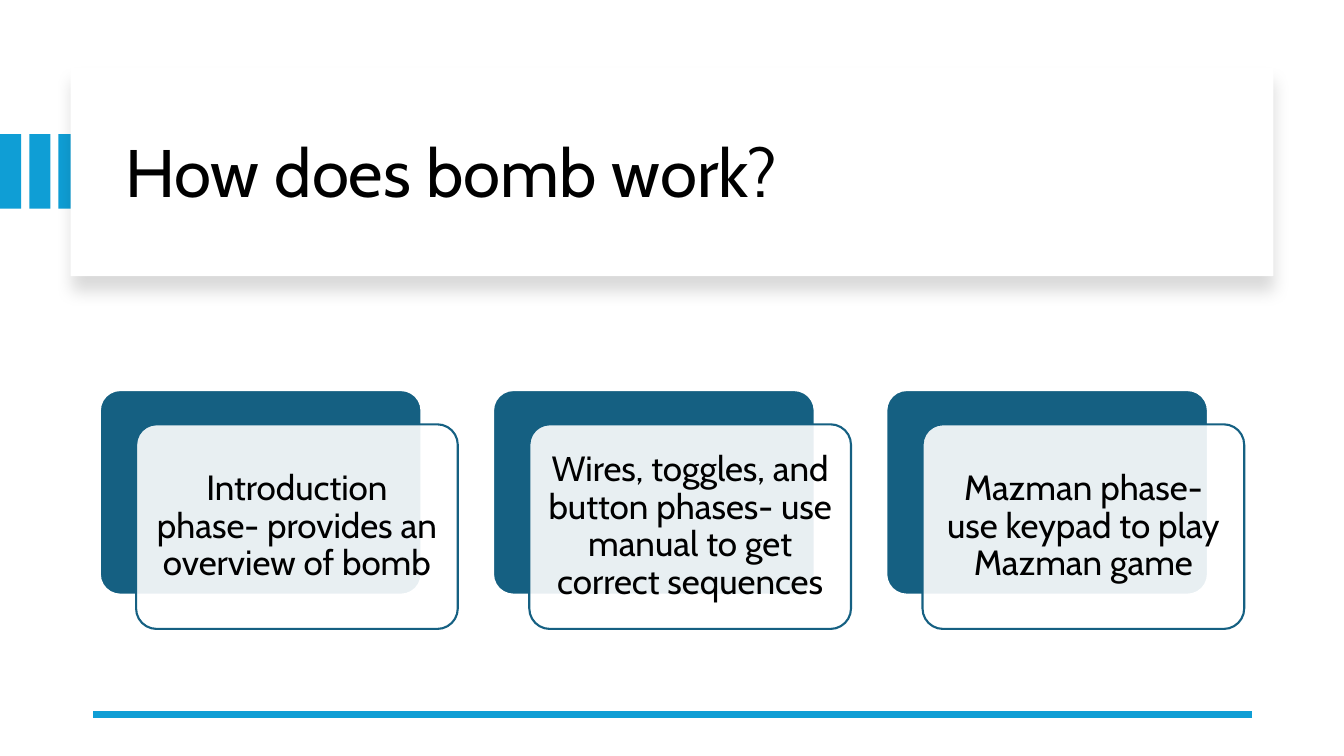
from lxml.etree import SubElement
from pptx import Presentation
from pptx.dml.color import RGBColor
from pptx.enum.shapes import MSO_CONNECTOR, MSO_SHAPE
from pptx.enum.text import MSO_ANCHOR, MSO_AUTO_SIZE, PP_ALIGN
from pptx.oxml.ns import qn
from pptx.util import Inches, Pt

FONT = "Cabin"
BLACK, WHITE, SKY, TEAL = "000000", "FFFFFF", "0F9ED5", "156082"


def paint(color, tone):
    color.rgb = RGBColor.from_string(tone)


def place(shape, left, top, width, height):
    shape.left, shape.top = Inches(left), Inches(top)
    shape.width, shape.height = Inches(width), Inches(height)


class Deck:
    def __init__(self):
        self.show = Presentation()
        self.show.slide_width = Inches(13.33)
        self.show.slide_height = Inches(7.5)
        self.slide = self.show.slides.add_slide(self.show.slide_layouts[5])
        self.shapes = self.slide.shapes
        back = self.slide.background.fill
        back.solid()
        paint(back.fore_color, WHITE)

    def box(self, kind, left, top, width, height, fill, line=None):
        shape = self.shapes.add_shape(kind, *map(Inches, (left, top, width, height)))
        shape.shadow.inherit = False
        shape.fill.solid()
        paint(shape.fill.fore_color, fill)
        if line:
            paint(shape.line.color, line)
            shape.line.width = Pt(1.5)
        else:
            shape.line.fill.background()
        if kind == MSO_SHAPE.ROUNDED_RECTANGLE:
            shape.adjustments[0] = 0.1
        return shape

    def fade(self, shape, alpha):
        tone = shape.element.spPr.find(f"{qn('a:solidFill')}/{qn('a:srgbClr')}")
        SubElement(tone, qn("a:alpha"), val=str(alpha * 1000))

    def shade(self, shape, alpha, blur, drop):
        effects = shape.element.spPr.find(qn("a:effectLst"))
        shadow = SubElement(effects, qn("a:outerShdw"), blurRad=str(Pt(blur)),
                            dist=str(Pt(drop)), dir="5400000", algn="t", rotWithShape="0")
        tone = SubElement(shadow, qn("a:srgbClr"), val=BLACK)
        SubElement(tone, qn("a:alpha"), val=str(alpha * 1000))

    def text(self, shape, words, size, align):
        frame = shape.text_frame
        frame.word_wrap = True
        frame.auto_size = MSO_AUTO_SIZE.NONE
        frame.vertical_anchor = MSO_ANCHOR.MIDDLE
        par = frame.paragraphs[0]
        par.alignment = align
        par.line_spacing = 0.9
        run = par.add_run()
        run.text = words
        run.font.name = FONT
        run.font.size = Pt(size)
        paint(run.font.color, BLACK)

    def title(self, words, left, top, width, height):
        head = self.shapes.title
        place(head, left, top, width, height)
        self.text(head, words, 48, PP_ALIGN.LEFT)
        # Bring the title in front of its panel
        self.shapes.element.append(head.element)

    def label(self, words, left, top, width, height):
        note = self.shapes.add_textbox(*map(Inches, (left, top, width, height)))
        frame = note.text_frame
        frame.margin_left = frame.margin_right = Inches(0.1)
        frame.margin_top = frame.margin_bottom = Inches(0.1)
        self.text(note, words, 25, PP_ALIGN.CENTER)

    def rule(self, start, end, top):
        line = self.shapes.add_connector(
            MSO_CONNECTOR.STRAIGHT, Inches(start), Inches(top), Inches(end), Inches(top))
        paint(line.line.color, SKY)
        line.line.width = Pt(4.5)
        SubElement(line.element.spPr, qn("a:effectLst"))


def main():
    deck = Deck()

    # Accent bars at the left edge
    for i in range(3):
        deck.box(MSO_SHAPE.RECTANGLE, i * 0.29, 1.33, 0.21, 0.74, SKY)

    # Title panel
    panel = deck.box(MSO_SHAPE.RECTANGLE, 0.7, 0.67, 11.93, 2.07, WHITE)
    deck.shade(panel, alpha=15, blur=11, drop=10)
    deck.title("How does bomb work?", 1.14, 0.89, 11.13, 1.7)

    # Bottom rule
    deck.rule(12.42, 0.92, 7.09)

    # Phase cards
    phases = (
        "Introduction phase- provides an overview of bomb",
        "Wires, toggles, and button phases- use manual to get correct sequences",
        "Mazman phase- use keypad to play Mazman game",
    )
    wide, high = 3.19, 2.03
    for i, phase in enumerate(phases):
        left, top = 0.99 + i * 3.9, 3.87
        deck.box(MSO_SHAPE.ROUNDED_RECTANGLE, left, top, wide, high, TEAL, WHITE)
        left, top = left + 0.36, top + 0.34
        front = deck.box(MSO_SHAPE.ROUNDED_RECTANGLE, left, top, wide, high, WHITE, TEAL)
        deck.fade(front, 90)
        deck.label(phase, left + 0.06, top + 0.06, wide - 0.12, high - 0.12)

    deck.show.save("out.pptx")


if __name__ == "__main__":
    main()
